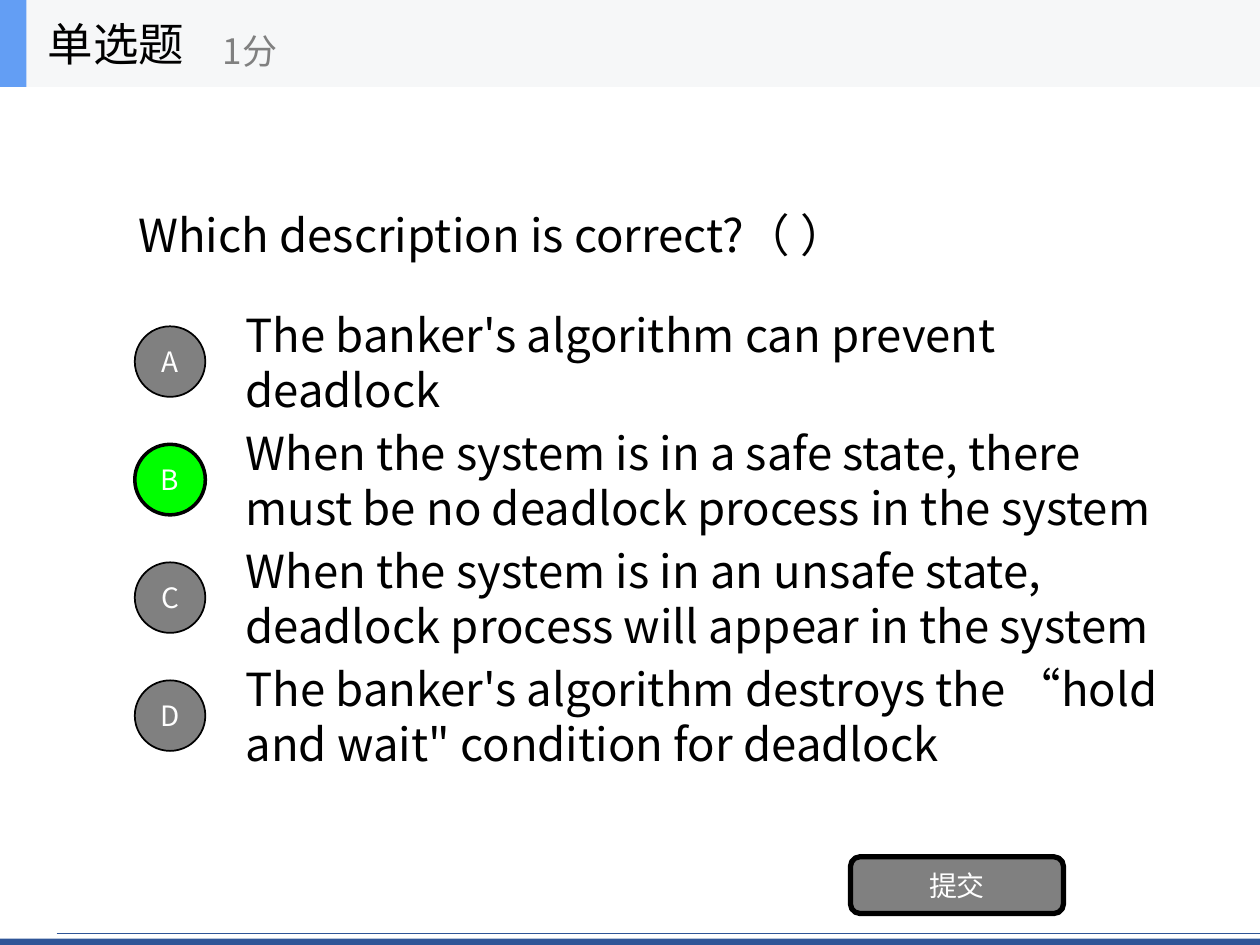
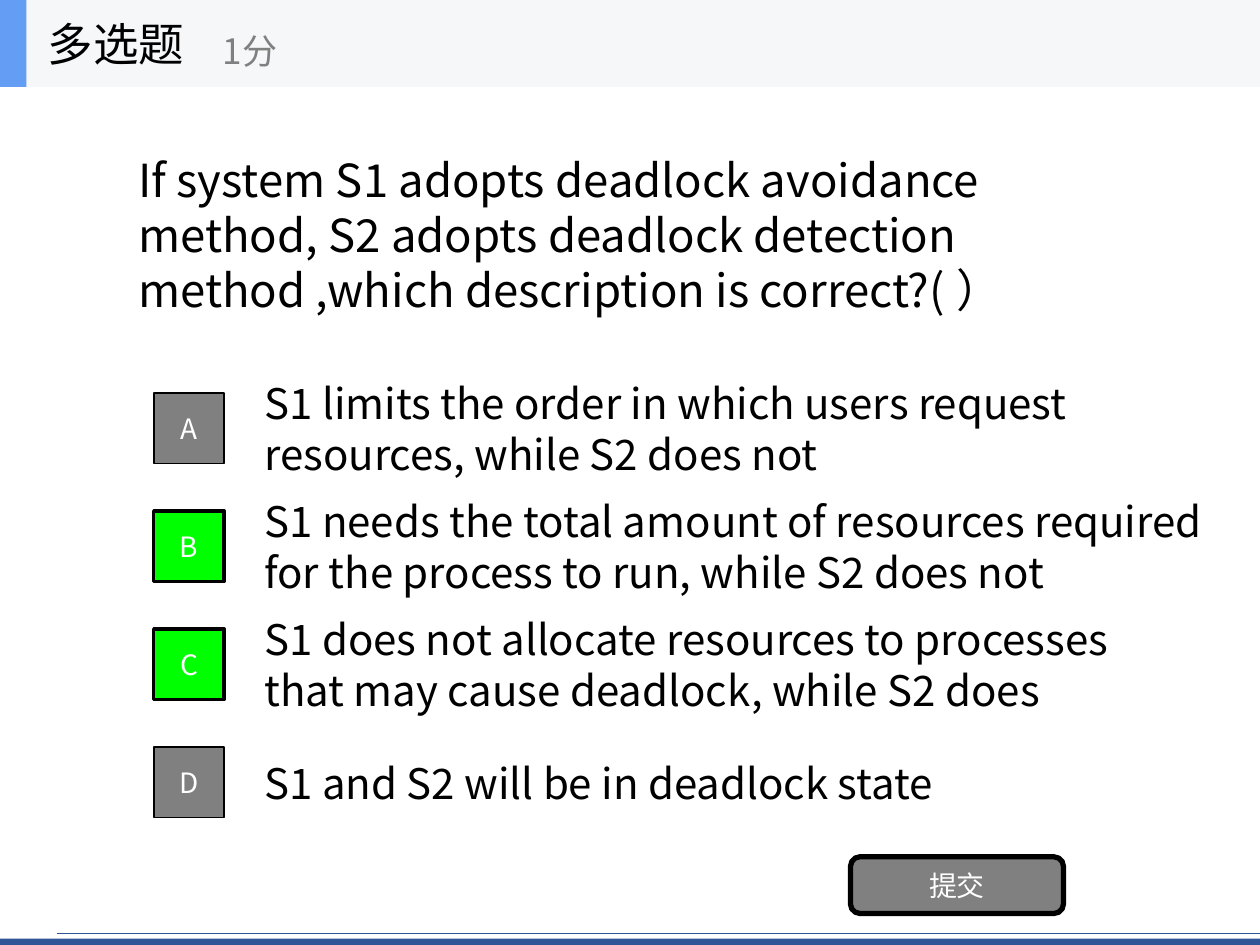
from pptx import Presentation
from pptx.dml.color import RGBColor
from pptx.enum.shapes import MSO_CONNECTOR, MSO_SHAPE
from pptx.enum.text import MSO_ANCHOR, PP_ALIGN
from pptx.oxml.ns import qn
from pptx.util import Inches, Pt

RECTANGLE = MSO_SHAPE.RECTANGLE
ROUNDED = MSO_SHAPE.ROUNDED_RECTANGLE
CIRCLE = MSO_SHAPE.OVAL
STRAIGHT = MSO_CONNECTOR.STRAIGHT
MIDDLE = MSO_ANCHOR.MIDDLE
LEFT = PP_ALIGN.LEFT
CENTER = PP_ALIGN.CENTER

FONT = "Noto Sans CJK SC"
BLACK, WHITE, GRAY, GREEN = "000000", "FFFFFF", "808080", "00FF00"
NAVY, BLUE, PALE = "2F5597", "639EF4", "F6F7F8"
PAGE_WIDTH, PAGE_HEIGHT = 10, 7.5
HEADER_HEIGHT = 0.69
OPTION_HEIGHT, BADGE_SIZE = 0.7, 0.56
OPTION_STEP = 2.81 / 3
BADGE_OFFSET = 0.78

SINGLE_CHOICE = {
    "title": "单选题",
    "question": "Which description is correct?（ ）",
    "badge": CIRCLE,
    "left": 1.85,
    "top": 2.52,
    "size": 26,
    "answers": "B",
    "options": [
        ("The banker's algorithm can prevent deadlock", 7),
        ("When the system is in a safe state, there must be no deadlock "
         "process in the system", 7.76),
        ("When the system is in an unsafe state, deadlock process will "
         "appear in the system", 7.76),
        ("The banker's algorithm destroys the “hold and wait\" condition "
         "for deadlock", 8.13),
    ],
}
MULTIPLE_CHOICE = {
    "title": "多选题",
    "question": "If system S1 adopts deadlock avoidance method, S2 adopts "
                "deadlock detection method ,which description is correct?( ）",
    "badge": RECTANGLE,
    "left": 2,
    "top": 3.05,
    "size": 24,
    "answers": "BC",
    "options": [
        ("S1 limits the order in which users request resources, "
         "while S2 does not", 7.01),
        ("S1 needs the total amount of resources required for the process "
         "to run, while S2 does not", 8),
        ("S1 does not allocate resources to processes that may cause "
         "deadlock, while S2 does", 7.59),
        ("S1 and S2 will be in deadlock state", 7.01),
    ],
}


def color(value):
    return RGBColor.from_string(value)


def write(shape, text, size, text_color, align=LEFT, wrap=True):
    """Put one vertically centred paragraph into a shape or text box."""
    frame = shape.text_frame
    frame.text = text
    frame.word_wrap = wrap
    frame.vertical_anchor = MIDDLE
    paragraph = frame.paragraphs[0]
    paragraph.alignment = align
    for span in paragraph.runs:
        span.font.size = Pt(size)
        span.font.name = FONT
        span.font.color.rgb = color(text_color)
        east_asian = span.font._element.makeelement(qn("a:ea"), {"typeface": FONT})
        span.font._element.append(east_asian)


def add_text(page, place, text, size, text_color=BLACK, wrap=True):
    box = page.shapes.add_textbox(*map(Inches, place))
    write(box, text, size, text_color, wrap=wrap)


def add_block(page, kind, place, fill, line_width=0):
    shape = page.shapes.add_shape(kind, *map(Inches, place))
    shape.shadow.inherit = False
    shape.fill.solid()
    shape.fill.fore_color.rgb = color(fill)
    if line_width:
        shape.line.color.rgb = color(BLACK)
        shape.line.width = Pt(line_width)
    else:
        shape.line.fill.background()
    return shape


def add_button(page, kind, place, text, fill, line_width):
    button = add_block(page, kind, place, fill, line_width)
    write(button, text, 16, WHITE, CENTER)


def add_footer(page):
    add_block(page, RECTANGLE, (0, 7.45, PAGE_WIDTH, 0.05), NAVY)
    rule = page.shapes.add_connector(
        STRAIGHT, *map(Inches, (0.45, 7.41, PAGE_WIDTH, 7.41)))
    rule.line.color.rgb = color(NAVY)
    rule.line.width = Pt(0.5)
    properties = rule._element.spPr
    properties.append(properties.makeelement(qn("a:effectLst"), {}))


def add_header(page, title):
    add_block(page, RECTANGLE, (0, 0, PAGE_WIDTH, HEADER_HEIGHT), PALE)
    add_block(page, RECTANGLE, (0, 0, 0.21, HEADER_HEIGHT), BLUE)
    add_text(page, (0.28, 0, 2.08, HEADER_HEIGHT), title, 26, wrap=False)
    add_text(page, (1.67, 0.12, 2.5, 0.56), "1分", 20, GRAY, wrap=False)


def add_options(page, quiz):
    """Stack the lettered options, marking the right answers in green."""
    for index, (letter, (text, width)) in enumerate(zip("ABCD", quiz["options"])):
        top = quiz["top"] + index * OPTION_STEP
        add_text(page, (quiz["left"], top, width, OPTION_HEIGHT), text, quiz["size"])
        fill, line_width = (GREEN, 2) if letter in quiz["answers"] else (GRAY, 1)
        badge_top = top + (OPTION_HEIGHT - BADGE_SIZE) / 2
        place = (quiz["left"] - BADGE_OFFSET, badge_top, BADGE_SIZE, BADGE_SIZE)
        add_button(page, quiz["badge"], place, letter, fill, line_width)


def add_quiz(deck, quiz):
    page = deck.slides.add_slide(deck.slide_layouts[6])
    add_footer(page)
    add_text(page, (1, HEADER_HEIGHT, 8, 2.34), quiz["question"], 26)
    add_options(page, quiz)
    add_button(page, ROUNDED, (6.75, 6.8, 1.69, 0.45), "提交", GRAY, 3)
    add_header(page, quiz["title"])


def main():
    deck = Presentation()
    deck.slide_width = Inches(PAGE_WIDTH)
    deck.slide_height = Inches(PAGE_HEIGHT)
    for quiz in (SINGLE_CHOICE, MULTIPLE_CHOICE):
        add_quiz(deck, quiz)
    deck.save("out.pptx")


if __name__ == "__main__":
    main()
